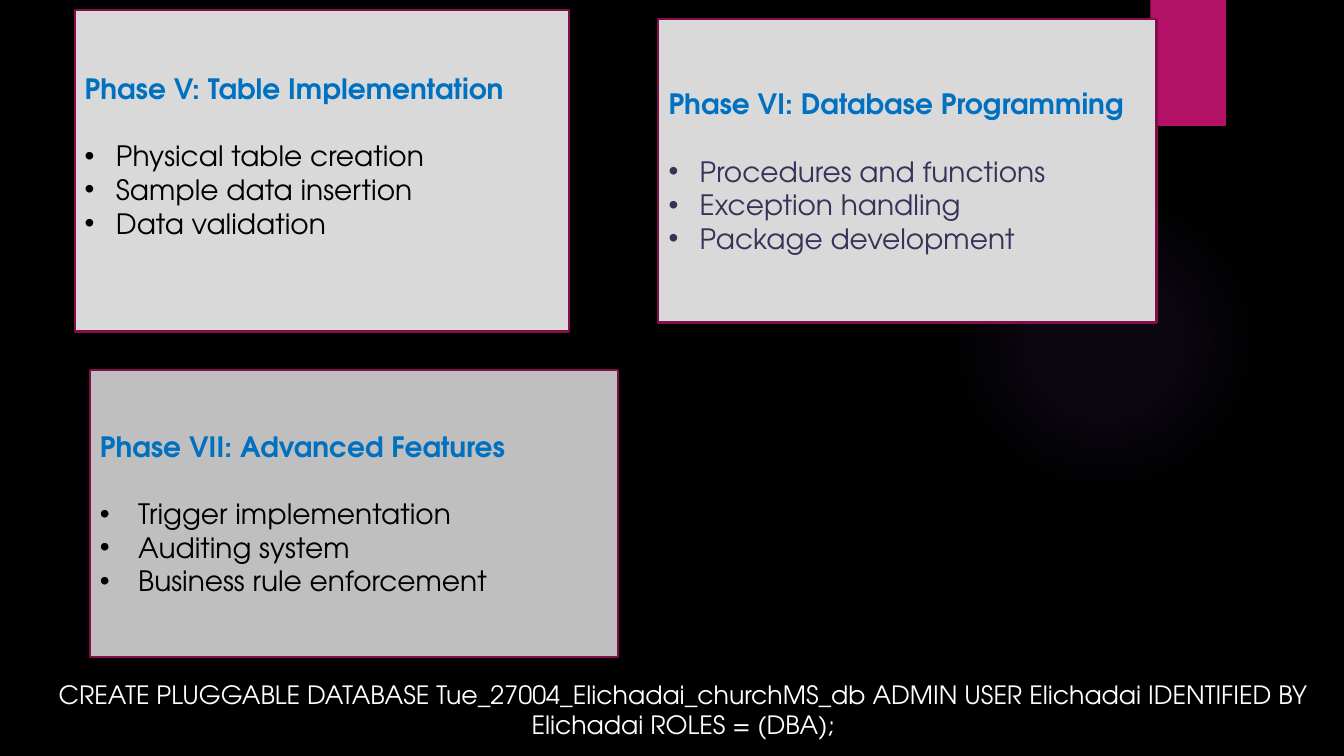
from dataclasses import dataclass

from lxml.etree import SubElement
from pptx import Presentation
from pptx.dml.color import RGBColor
from pptx.enum.shapes import MSO_SHAPE
from pptx.enum.text import MSO_ANCHOR, MSO_AUTO_SIZE, PP_ALIGN
from pptx.oxml import parse_xml
from pptx.oxml.ns import nsdecls, qn
from pptx.util import Inches, Pt


@dataclass(frozen=True)
class Theme:
    font: str = "TeX Gyre Adventor"
    background: str = "000000"
    accent: str = "B31166"
    glow: str = "9B6BF2"
    border: str = "840D4B"
    heading: str = "0070C0"
    dark: str = "000000"
    violet: str = "3B3059"
    light: str = "FFFFFF"
    panel: str = "D9D9D9"
    panel_deep: str = "BFBFBF"
    card_size: int = 20
    statement_size: int = 18
    line_width: float = 1.5


class SlideBuilder:
    def __init__(self, prs, theme):
        self.prs, self.theme = prs, theme
        self.slide = prs.slides.add_slide(prs.slide_layouts.get_by_name("Comparison"))
        self.bodies = list(self.slide.placeholders)[1:]
        self.paint(self.slide.background, theme.background)

    def box(self, x, y, width, height):
        """Turn percentages of the slide's width and height into lengths."""
        w, h = self.prs.slide_width, self.prs.slide_height
        return [int(share * side / 100) for share, side in zip((x, y, width, height), (w, h, w, h))]

    def paint(self, target, color):
        target.fill.solid()
        target.fill.fore_color.rgb = RGBColor.from_string(color)

    def outline(self, sp, color):
        sp.line.color.rgb = RGBColor.from_string(color)
        sp.line.width = Pt(self.theme.line_width)

    def style(self, p, size, color, bold=False):
        for r in p.runs:
            r.font.name, r.font.size, r.font.bold = self.theme.font, Pt(size), bold
            r.font.color.rgb = RGBColor.from_string(color)

    def shape(self, kind, place, color):
        sp = self.slide.shapes.add_shape(kind, *self.box(*place))
        sp.shadow.inherit = False
        self.paint(sp, color)
        sp.line.fill.background()
        return sp

    def glow(self, place):
        sp = self.shape(MSO_SHAPE.OVAL, place, self.theme.glow)
        stops = "".join(
            f'<a:gs pos="{pos}000"><a:srgbClr val="{self.theme.glow}">'
            f'<a:alpha val="{alpha}000"/></a:srgbClr></a:gs>'
            for pos, alpha in ((0, 7), (36, 6), (69, 0)))
        gradient = parse_xml(
            f'<a:gradFill {nsdecls("a")}><a:gsLst>{stops}</a:gsLst><a:path path="circle">'
            '<a:fillToRect l="50000" t="50000" r="50000" b="50000"/></a:path></a:gradFill>')
        solid = sp._element.spPr.find(qn("a:solidFill"))
        solid.getparent().replace(solid, gradient)

    def bullet(self, p, char, indent):
        """Set a hanging bullet, or none when char is empty."""
        pPr = p._p.get_or_add_pPr()
        pPr.set("marL", str(Inches(indent)))
        pPr.set("indent", str(-Inches(indent)))
        if char:
            SubElement(pPr, qn("a:buFont"), typeface="Arial")
            SubElement(pPr, qn("a:buChar"), char=char)
        else:
            SubElement(pPr, qn("a:buNone"))

    def card(self, place, heading, items, fill, color, indent, bottom=0.05):
        size = self.theme.card_size
        sp = self.bodies.pop(0)
        sp.left, sp.top, sp.width, sp.height = self.box(*place)
        self.slide.shapes._spTree.append(sp._element)
        self.paint(sp, fill)
        self.outline(sp, self.theme.border)
        tf = sp.text_frame
        tf.text = "\n".join([heading, *items])
        tf.word_wrap, tf.auto_size = True, MSO_AUTO_SIZE.NONE
        tf.vertical_anchor = MSO_ANCHOR.MIDDLE
        tf.margin_bottom = Inches(bottom)
        for i, p in enumerate(tf.paragraphs):
            p.alignment, p.line_spacing = PP_ALIGN.LEFT, 1.0
            p.space_before = Pt(0)
            p.space_after = Pt(0 if i else 1.2 * size)
            self.bullet(p, "•" if i else "", indent if i else 0)
            self.style(p, size, color if i else self.theme.heading, bold=not i)

    def statement(self, place, text):
        sp = self.shape(MSO_SHAPE.RECTANGLE, place, self.theme.background)
        self.outline(sp, self.theme.background)
        tf = sp.text_frame
        tf.text, tf.word_wrap = text, True
        tf.vertical_anchor = MSO_ANCHOR.MIDDLE
        p = tf.paragraphs[0]
        p.alignment = PP_ALIGN.CENTER
        self.style(p, self.theme.statement_size, self.theme.light)

    def drop_empty_placeholders(self):
        for sp in list(self.slide.placeholders):
            if not sp.text_frame.text:
                sp._element.getparent().remove(sp._element)


def main():
    prs = Presentation()
    prs.slide_width, prs.slide_height = Inches(13.33), Inches(7.5)
    theme = Theme()
    s = SlideBuilder(prs, theme)
    s.glow((70.59, 24.4, 23.1, 41.07))
    s.shape(MSO_SHAPE.RECTANGLE, (85.6, 0, 5.63, 16.67), theme.accent)
    s.card((5.55, 1.33, 36.76, 42.53), "Phase V: Table Implementation",
           ["Physical table creation", "Sample data insertion", "Data validation"],
           theme.panel, theme.dark, 0.31, bottom=0.35)
    s.card((48.99, 2.53, 37.06, 40.13), "Phase VI: Database Programming",
           ["Procedures and functions", "Exception handling", "Package development"],
           theme.panel, theme.violet, 0.31)
    s.card((6.68, 48.93, 39.31, 38), "Phase VII: Advanced Features",
           ["Trigger implementation", "Auditing system", "Business rule enforcement"],
           theme.panel_deep, theme.dark, 0.38)
    s.statement((2.85, 89.07, 95.95, 9.6),
                "CREATE PLUGGABLE DATABASE Tue_27004_Elichadai_churchMS_db "
                "ADMIN USER Elichadai IDENTIFIED BY Elichadai ROLES = (DBA);")
    s.drop_empty_placeholders()
    prs.save("out.pptx")


if __name__ == "__main__":
    main()
